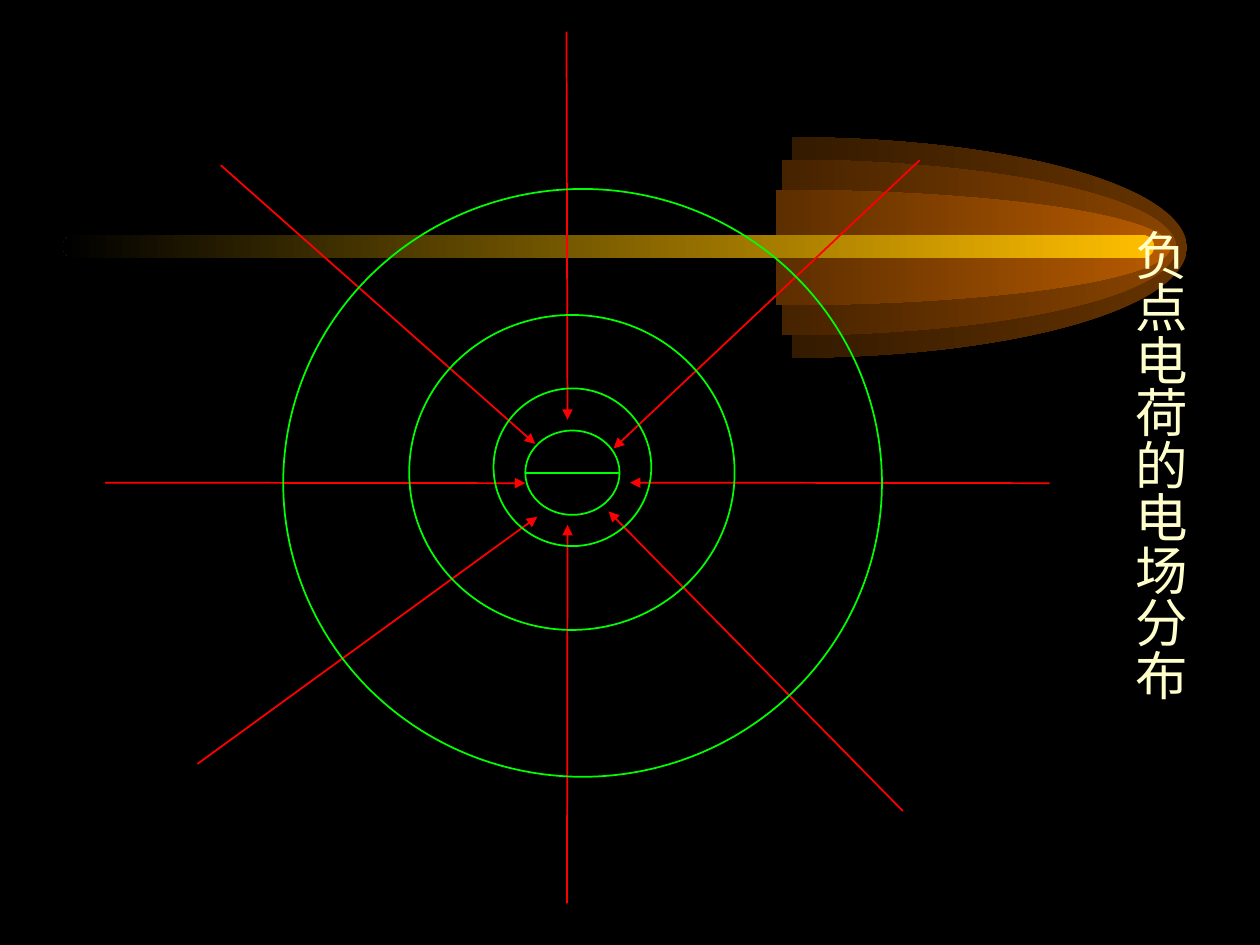
"""Build a slide showing the electric field of a negative point charge."""
import copy
from dataclasses import dataclass

import lxml.etree
import pptx
import pptx.dml.color
import pptx.enum.shapes
import pptx.enum.text
import pptx.oxml.ns
import pptx.util

Cm = pptx.util.Cm
Pt = pptx.util.Pt
qn = pptx.oxml.ns.qn


@dataclass(frozen=True)
class Theme:
    """Colours, type and line sizes of the slide."""
    background: str = "000000"
    title: str = "FFFFCC"
    equipotential: str = "00FF00"
    field: str = "FF0000"
    beam: str = "FFBF00"
    font: str = "Times New Roman"
    title_size: int = 30
    line_width: int = 1


THEME = Theme()

LOBES = [
    (15.98, 2.22, "663300"),
    (15.77, 1.77, "894400"),
    (15.65, 1.16, "B75B00"),
]
LOBE_LENGTH = 7.95
BEAM_AXIS = 4.99

CHARGE = (10.59, 8.68, 1.9, 1.7)
MINUS_SIGN = (10.59, 9.53, 12.5, 9.53)
FIELD_LINES = [
    (21.16, 9.74, 12.7, 9.73),
    (2.12, 9.73, 10.59, 9.74),
    (11.42, 0.64, 11.44, 8.46),
    (18.2, 16.35, 12.27, 10.31),
    (18.54, 3.23, 12.37, 9.04),
    (4.45, 3.33, 10.79, 8.95),
    (3.98, 15.4, 10.83, 10.42),
    (11.43, 18.21, 11.44, 10.58),
]
EQUIPOTENTIALS = [
    (9.95, 7.83, 3.18, 3.18),
    (8.25, 6.35, 6.56, 6.35),
    (5.71, 3.81, 12.07, 11.85),
]


def rgb(value):
    """Return the colour for a hex string."""
    return pptx.dml.color.RGBColor.from_string(value)


def fade(shape, bright):
    """Fill a shape with a gradient that darkens from right to left."""
    shape.shadow.inherit = False
    shape.line.fill.background()
    shape.fill.gradient()
    shape.fill.gradient_angle = 180
    colours = (bright, THEME.background)
    for position, (stop, colour) in enumerate(zip(shape.fill.gradient_stops, colours)):
        stop.color.rgb = rgb(colour)
        stop.position = position


def add_lobe(slide, middle, half_height, bright):
    """Draw the right half of an ellipse, its frame holding the full ellipse."""
    builder = slide.shapes.build_freeform(Cm(middle), Cm(BEAM_AXIS - half_height))
    builder.add_line_segments([
        (Cm(middle + LOBE_LENGTH), Cm(BEAM_AXIS)),
        (Cm(middle), Cm(BEAM_AXIS + half_height)),
        (Cm(middle), Cm(BEAM_AXIS)),
    ], close=True)
    lobe = builder.convert_to_shape()
    radius = lobe.width
    lobe.left -= radius
    lobe.width = 2 * radius
    outline = next(lobe._element.iter(qn("a:path")))
    outline.set("w", str(2 * radius))
    for point in outline.iter(qn("a:pt")):
        point.set("x", str(int(point.get("x")) + radius))
    upper, lower, inner = outline.findall(qn("a:lnTo"))
    arc = lxml.etree.Element(
        qn("a:arcTo"), wR=str(radius), hR=str(lobe.height // 2),
        stAng="16200000", swAng="10800000")
    outline.replace(upper, arc)
    outline.remove(lower)
    rim = copy.deepcopy(outline)
    rim.set("fill", "none")
    for part in rim[2:]:
        rim.remove(part)
    outline.addnext(rim)
    fade(lobe, bright)


def add_beam(slide):
    """Draw the glowing beam across the slide."""
    beam = slide.shapes.add_shape(
        pptx.enum.shapes.MSO_SHAPE.ROUNDED_RECTANGLE,
        Cm(1.27), Cm(4.74), Cm(22), Cm(0.46))
    beam.adjustments[0] = 0.5
    fade(beam, THEME.beam)


def add_ring(slide, box):
    """Draw an unfilled ellipse."""
    ring = slide.shapes.add_shape(
        pptx.enum.shapes.MSO_SHAPE.OVAL, *map(Cm, box))
    ring.shadow.inherit = False
    ring.fill.background()
    ring.line.color.rgb = rgb(THEME.equipotential)
    ring.line.width = Pt(THEME.line_width)


def add_line(slide, ends, colour, arrow=False):
    """Draw a straight line, with an arrowhead at its end if asked."""
    line = slide.shapes.add_connector(
        pptx.enum.shapes.MSO_CONNECTOR.STRAIGHT, *map(Cm, ends))
    line.line.color.rgb = rgb(colour)
    line.line.width = Pt(THEME.line_width)
    if arrow:
        stroke = line.line._get_or_add_ln()
        lxml.etree.SubElement(stroke, qn("a:tailEnd"), type="triangle")
    lxml.etree.SubElement(line._element.spPr, qn("a:effectLst"))


def set_title(slide, wording):
    """Place the vertical title in front of the drawing."""
    title = slide.shapes.title
    title.left, title.top, title.width, title.height = map(
        Cm, (22.5, 4.62, 1.78, 9.78))
    frame = title.text_frame
    frame.margin_left = frame.margin_right = Cm(0.13)
    frame.margin_top = frame.margin_bottom = Cm(0)
    frame.vertical_anchor = pptx.enum.text.MSO_ANCHOR.MIDDLE
    frame.auto_size = pptx.enum.text.MSO_AUTO_SIZE.NONE
    frame.word_wrap = True
    frame._txBody.bodyPr.set("vert", "eaVert")
    paragraph = frame.paragraphs[0]
    paragraph.alignment = pptx.enum.text.PP_ALIGN.CENTER
    run = paragraph.add_run()
    run.text = wording
    run.font.name = THEME.font
    run.font.size = Pt(THEME.title_size)
    run.font.color.rgb = rgb(THEME.title)
    slide.shapes._spTree.append(title._element)


def main():
    """Build and save the slide."""
    deck = pptx.Presentation()
    deck.slide_width, deck.slide_height = Cm(25.4), Cm(19.05)
    slide = deck.slides.add_slide(deck.slide_layouts.get_by_name("Title Only"))
    slide.background.fill.solid()
    slide.background.fill.fore_color.rgb = rgb(THEME.background)
    for lobe in LOBES:
        add_lobe(slide, *lobe)
    add_beam(slide)
    add_ring(slide, CHARGE)
    add_line(slide, MINUS_SIGN, THEME.equipotential)
    for ends in FIELD_LINES:
        add_line(slide, ends, THEME.field, arrow=True)
    set_title(slide, "负点电荷的电场分布")
    for box in EQUIPOTENTIALS:
        add_ring(slide, box)
    deck.save("out.pptx")


if __name__ == "__main__":
    main()
